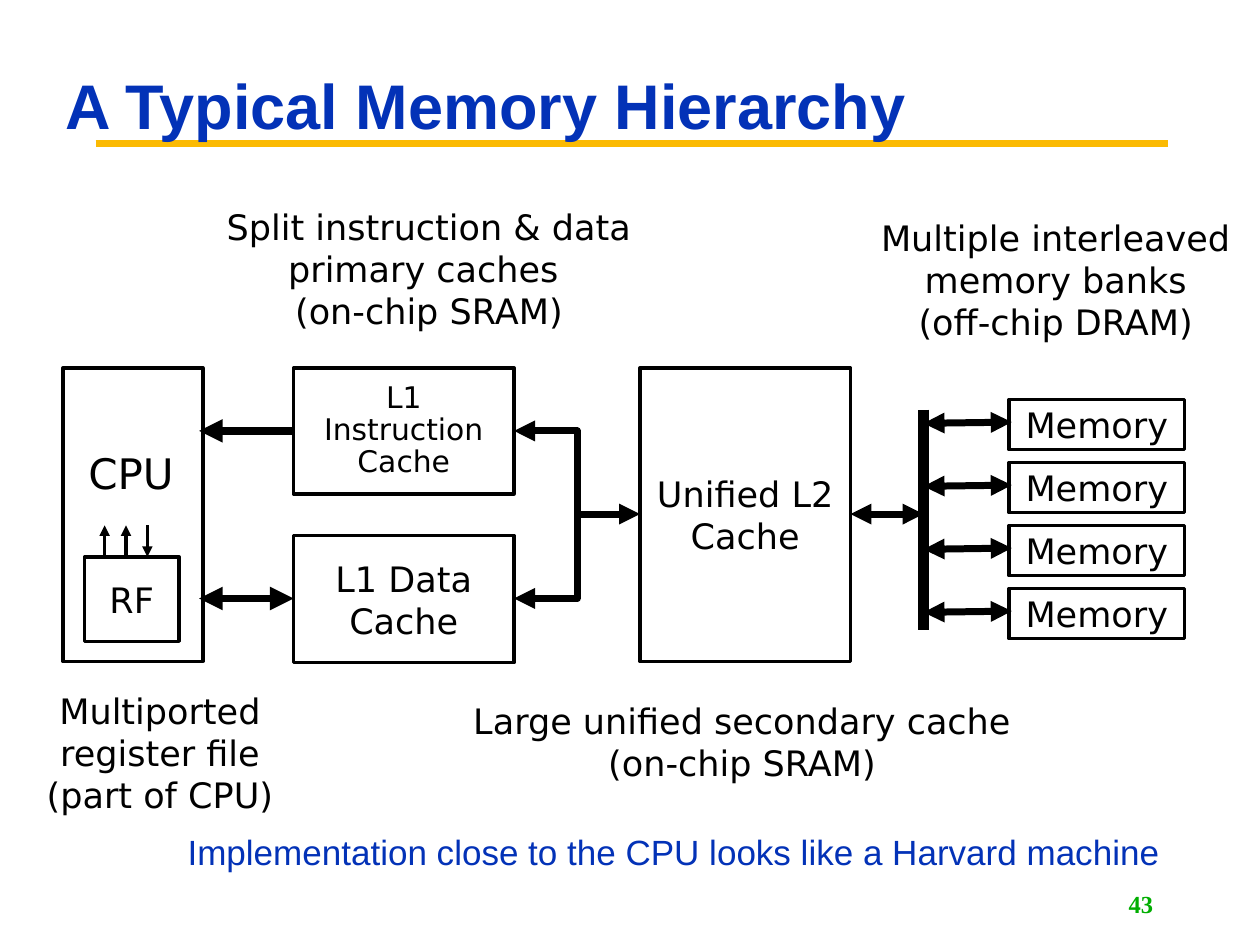
from lxml import etree
from pptx import Presentation
from pptx.dml.color import RGBColor
from pptx.enum.shapes import MSO_CONNECTOR, MSO_SHAPE
from pptx.enum.text import MSO_ANCHOR, PP_ALIGN
from pptx.oxml.ns import qn
from pptx.util import Inches, Pt

LEFT, CENTER, RIGHT = PP_ALIGN.LEFT, PP_ALIGN.CENTER, PP_ALIGN.RIGHT
TOP, MIDDLE = MSO_ANCHOR.TOP, MSO_ANCHOR.MIDDLE
RECTANGLE, STRAIGHT = MSO_SHAPE.RECTANGLE, MSO_CONNECTOR.STRAIGHT

THEME = {
    "black": "000000", "white": "FFFFFF", "blue": "0332B7",
    "gold": "FBBA03", "green": "00AE00",
    "diagram_font": "DejaVu Sans", "text_font": "Arial", "number_font": "Times New Roman",
    "title": 36, "cpu": 24, "body": 20, "small": 17, "number": 14,
    "outline": 2, "rule": 3.75, "link": 4, "cpu_link": 4.5, "bus": 6,
}

TITLE = "A Typical Memory Hierarchy"
REMARK = "Implementation close to the CPU looks like a Harvard machine"
SLIDE_NUMBER = "43"

# Text, (left, top, width, height), format
BLOCKS = [
    ("", (0.5, 2.92, 1.11, 2.33), {}),
    ("L1 Data Cache", (2.33, 4.25, 1.75, 1.01), {}),
    ("L1 Instruction Cache", (2.33, 2.92, 1.75, 1), {"size": "small", "spacing": 0.9}),
    ("Unified L2 Cache", (5.08, 2.92, 1.67, 2.33), {}),
    ("RF", (0.67, 4.42, 0.75, 0.67), {"wrap": False}),
]
CAPTIONS = [
    ("Multiported register file (part of CPU)", (0.13, 5.42, 2.28, 1.1), {}),
    ("Split instruction & data primary caches \n(on-chip SRAM)", (1.17, 1.58, 4.47, 1.1), {}),
    ("Multiple interleaved memory banks\n(off-chip DRAM)", (6.83, 1.67, 3.1, 1.1), {}),
    ("Large unified secondary cache (on-chip SRAM)", (3.58, 5.5, 4.62, 0.77), {}),
    ("CPU", (0.5, 3.5, 1.08, 0.5), {"size": "cpu", "anchor": TOP}),
]

# Start, end, width, arrowhead at start, arrowhead at end
LINKS = [
    ((2.33, 3.42), (1.58, 3.42), "cpu_link", False, True),
    ((2.33, 4.75), (1.58, 4.75), "cpu_link", True, True),
    ((7.33, 3.25), (7.33, 5), "bus", False, False),
    ((6.75, 4.08), (7.33, 4.08), "link", True, True),
    ((0.83, 4.42), (0.83, 4.17), "outline", False, True),
    ((1, 4.42), (1, 4.17), "outline", False, True),
    ((1.17, 4.17), (1.17, 4.42), "outline", False, True),
]
# Points, arrowhead at start
CACHE_PATHS = [
    ([(4.08, 3.42), (4.58, 3.42), (4.58, 4.08), (5.08, 4.08)], True),
    ([(4.58, 4.08), (4.58, 4.75), (4.08, 4.75)], False),
]

BANK_COUNT, BANK_PITCH = 4, 0.5
BANK_LEFT, BANK_TOP, BANK_WIDTH, BANK_HEIGHT = 8.01, 3.17, 1.39, 0.4
BUS_X = 7.33


def color(name):
    return RGBColor.from_string(THEME[name])


def write_text(shape, text, size="body", font="diagram_font", ink="black", bold=False,
               align=CENTER, anchor=MIDDLE, spacing=1.0, wrap=True):
    frame = shape.text_frame
    frame.word_wrap = wrap
    frame.vertical_anchor = anchor
    frame.text = text
    for paragraph in frame.paragraphs:
        paragraph.alignment = align
        paragraph.line_spacing = spacing
        paragraph.font.size = Pt(THEME[size])
        paragraph.font.name = THEME[font]
        paragraph.font.bold = bold
        paragraph.font.color.rgb = color(ink)


def add_text(slide, text, box, **text_format):
    write_text(slide.shapes.add_textbox(*map(Inches, box)), text, **text_format)


def add_block(slide, text, box, **text_format):
    shape = slide.shapes.add_shape(RECTANGLE, *map(Inches, box))
    shape.shadow.inherit = False
    shape.fill.solid()
    shape.fill.fore_color.rgb = color("white")
    style_line(shape, "outline")
    if text:
        write_text(shape, text, **text_format)


def style_line(shape, width, ink="black", start_arrow=False, end_arrow=False):
    shape.line.color.rgb = color(ink)
    shape.line.width = Pt(THEME[width])
    line = shape.line._get_or_add_ln()
    for tag, wanted in (("a:headEnd", start_arrow), ("a:tailEnd", end_arrow)):
        if wanted:
            etree.SubElement(line, qn(tag), type="triangle")


def add_line(slide, start, end, width, start_arrow=False, end_arrow=False, ink="black"):
    connector = slide.shapes.add_connector(STRAIGHT, *map(Inches, start + end))
    style_line(connector, width, ink, start_arrow, end_arrow)
    etree.SubElement(connector._element.spPr, qn("a:effectLst"))


def add_path(slide, points, start_arrow):
    corners = [(Inches(x), Inches(y)) for x, y in points]
    builder = slide.shapes.build_freeform(*corners[0])
    builder.add_line_segments(corners[1:], close=False)
    shape = builder.convert_to_shape()
    shape.shadow.inherit = False
    shape.fill.background()
    style_line(shape, "link", start_arrow=start_arrow, end_arrow=True)


def add_memory_banks(slide):
    for index in range(BANK_COUNT):
        top = BANK_TOP + index * BANK_PITCH
        add_block(slide, "Memory", (BANK_LEFT, top, BANK_WIDTH, BANK_HEIGHT), wrap=False)
        add_line(slide, (BANK_LEFT + 0.02, top + 0.18), (BUS_X, top + 0.19), "link", True, True)


def main():
    presentation = Presentation()
    presentation.slide_width, presentation.slide_height = Inches(10), Inches(7.5)
    slide = presentation.slides.add_slide(presentation.slide_layouts[6])

    add_line(slide, (0.76, 1.14), (9.27, 1.14), "rule", ink="gold")
    add_text(slide, SLIDE_NUMBER, (7.17, 7.01, 2.08, 0.32), size="number",
             font="number_font", ink="green", bold=True, align=RIGHT)
    add_text(slide, TITLE, (0.42, 0.24, 8.52, 1.25), size="title", font="text_font",
             ink="blue", bold=True, align=LEFT, spacing=0.9)
    for text, box, text_format in BLOCKS:
        add_block(slide, text, box, **text_format)
    add_memory_banks(slide)
    for link in LINKS:
        add_line(slide, *link)
    for points, start_arrow in CACHE_PATHS:
        add_path(slide, points, start_arrow)
    for text, box, text_format in CAPTIONS:
        add_text(slide, text, box, **text_format)
    add_text(slide, REMARK, (1.39, 6.58, 7.92, 0.4), font="text_font", ink="blue",
             align=LEFT, anchor=TOP, spacing=0.9, wrap=False)

    presentation.save("out.pptx")


if __name__ == "__main__":
    main()
